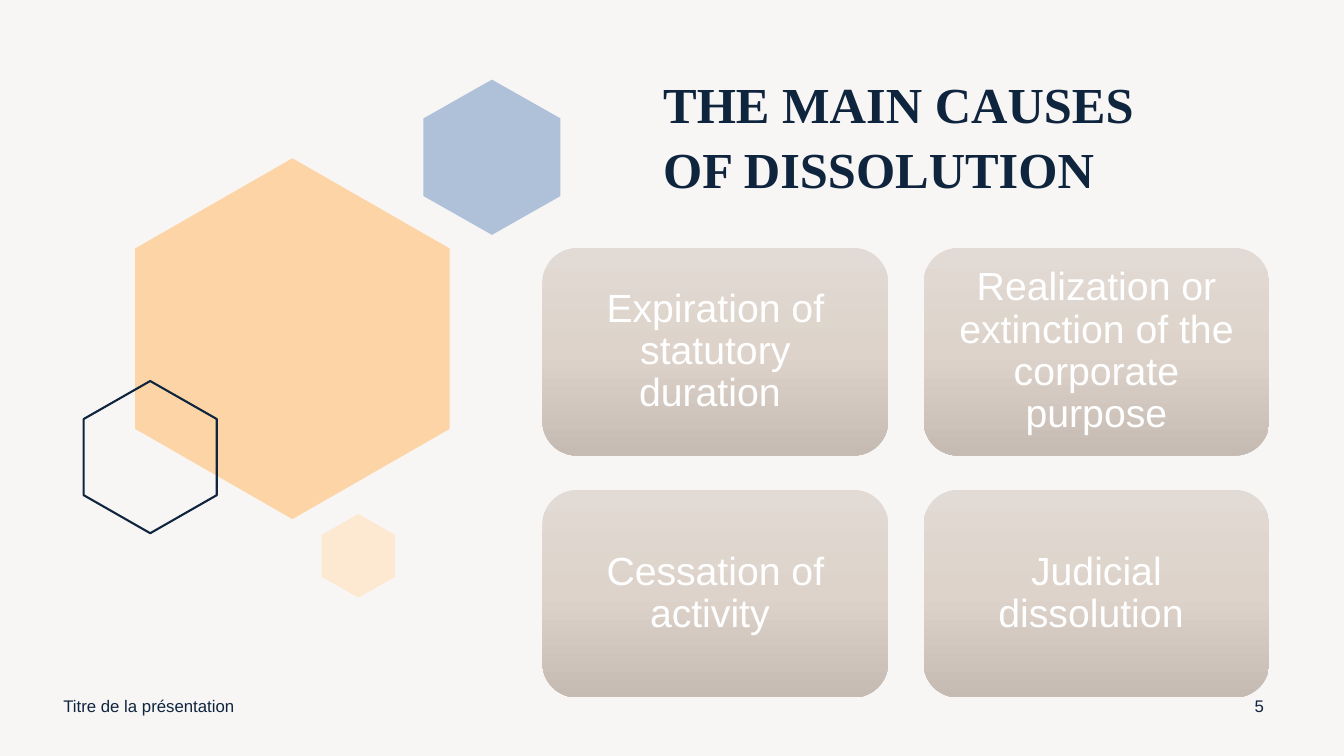
from copy import deepcopy

from pptx import Presentation
from pptx.dml.color import RGBColor
from pptx.enum.shapes import MSO_SHAPE
from pptx.enum.text import MSO_ANCHOR, PP_ALIGN
from pptx.oxml.ns import qn
from pptx.util import Inches, Pt

PAPER = RGBColor(0xF8, 0xF6, 0xF5)
NAVY = RGBColor(0x0F, 0x25, 0x3E)
BLUE = RGBColor(0xAE, 0xC1, 0xD8)
ORANGE = RGBColor(0xFC, 0xD4, 0xA6)
CREAM = RGBColor(0xFD, 0xE9, 0xD2)
WHITE = RGBColor(0xFF, 0xFF, 0xFF)
CARD_SHADES = [
    (0, RGBColor(0xE2, 0xDA, 0xD4)),
    (0.5, RGBColor(0xDD, 0xD3, 0xCB)),
    (1, RGBColor(0xC5, 0xBB, 0xB3)),
]


def write(shape, text, font, size, color, align, anchor, bold=False):
    frame = shape.text_frame
    frame.text = text
    frame.word_wrap = True
    frame.vertical_anchor = anchor
    paragraph = frame.paragraphs[0]
    paragraph.alignment = align
    run_font = paragraph.runs[0].font
    run_font.name = font
    run_font.size = Pt(size)
    run_font.bold = bold
    run_font.color.rgb = color
    return paragraph


presentation = Presentation()
presentation.slide_width = Inches(13.33)
presentation.slide_height = Inches(7.5)
slide = presentation.slides.add_slide(presentation.slide_layouts[6])
slide.background.fill.solid()
slide.background.fill.fore_color.rgb = PAPER

for left, top, width, height, color in [
    (4.2, 0.79, 1.36, 1.54, BLUE),
    (1.34, 1.57, 3.12, 3.58, ORANGE),
    (0.83, 3.78, 1.32, 1.51, None),
    (3.19, 5.1, 0.73, 0.83, CREAM),
]:
    corners = [
        (Inches(left + width * across), Inches(top + height * down))
        for across, down in [(0.5, 0), (1, 0.25), (1, 0.75), (0.5, 1), (0, 0.75), (0, 0.25)]
    ]
    outline = slide.shapes.build_freeform(*corners[0])
    outline.add_line_segments(corners[1:], close=True)
    hexagon = outline.convert_to_shape()
    hexagon.shadow.inherit = False
    if color is None:
        hexagon.fill.background()
        hexagon.line.color.rgb = NAVY
        hexagon.line.width = Pt(1.5)
    else:
        hexagon.fill.solid()
        hexagon.fill.fore_color.rgb = color
        hexagon.line.fill.background()

title = slide.shapes.add_textbox(Inches(6.48), Inches(0.17), Inches(4.94), Inches(1.85))
heading = write(title, "THE MAIN CAUSES OF DISSOLUTION", "Times New Roman", 36, NAVY,
                PP_ALIGN.LEFT, MSO_ANCHOR.BOTTOM, bold=True)
heading.line_spacing = 1.07
heading.space_after = Pt(8)

for left, width, text, align in [
    (0.53, 4.5, "Titre de la présentation", PP_ALIGN.LEFT),
    (12.24, 0.5, "5", PP_ALIGN.CENTER),
]:
    footer = slide.shapes.add_textbox(Inches(left), Inches(6.8), Inches(width), Inches(0.4))
    write(footer, text, "Arial", 12, NAVY, align, MSO_ANCHOR.MIDDLE)

causes = [
    "Expiration of statutory duration\u00a0",
    "Realization or extinction of the corporate purpose",
    "Cessation of activity\u00a0",
    "Judicial dissolution\u00a0",
]
for index, cause in enumerate(causes):
    row, column = divmod(index, 2)
    card = slide.shapes.add_shape(
        MSO_SHAPE.ROUNDED_RECTANGLE,
        Inches(5.38 + 3.78 * column), Inches(2.46 + 2.4 * row), Inches(3.43), Inches(2.06),
    )
    card.shadow.inherit = False
    card.line.fill.background()
    card.fill.gradient()
    card.fill.gradient_angle = 270
    stop_list = card._element.spPr.find(qn("a:gradFill")).find(qn("a:gsLst"))
    stop_list.insert(1, deepcopy(stop_list[0]))
    for stop, (position, shade) in zip(card.fill.gradient_stops, CARD_SHADES):
        stop.position = position
        stop.color.rgb = shade
    frame = card.text_frame
    frame.margin_left = frame.margin_right = Inches(0.12)
    frame.margin_top = frame.margin_bottom = Inches(0.12)
    label = write(card, cause, "Arial", 28, WHITE, PP_ALIGN.CENTER, MSO_ANCHOR.MIDDLE)
    label.line_spacing = 0.9

presentation.save("out.pptx")
